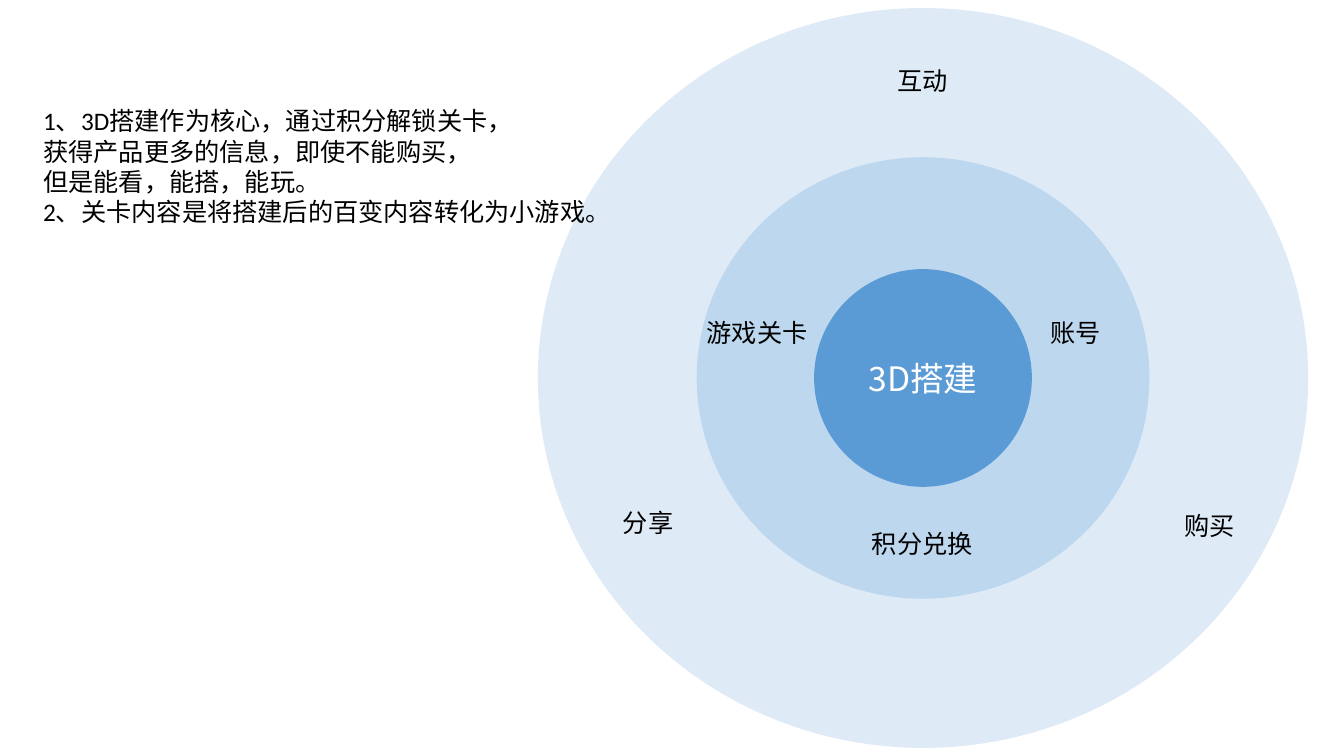
"""Build a slide of concentric rings around the 3D building core."""
from lxml.etree import SubElement
from pptx import Presentation
from pptx.dml.color import RGBColor
from pptx.enum.shapes import MSO_SHAPE
from pptx.enum.text import MSO_ANCHOR, MSO_AUTO_SIZE, PP_ALIGN
from pptx.oxml.ns import qn
from pptx.util import Inches, Pt

COLORS = {"outer": "DEEBF7", "middle": "BDD7EE", "core": "5B9BD5",
          "light": "FFFFFF", "dark": "000000"}
CJK = "Noto Sans CJK SC"
LATIN = "Calibri"
CENTER = (9.155, 3.75)
RINGS = [("outer", 7.64, 7.34), ("middle", 4.49, 4.38), ("core", 2.16, 2.16)]
CORE_TITLE = "3D搭建"
LABELS = [
    ("游戏关卡", 6.91, 3.1), ("积分兑换", 8.55, 5.19), ("账号", 10.32, 3.1),
    ("分享", 6.08, 4.98), ("购买", 11.65, 5.01), ("互动", 8.8, 0.6),
]
NOTES = [
    "1、3D搭建作为核心，通过积分解锁关卡，",
    "获得产品更多的信息，即使不能购买，",
    "但是能看，能搭，能玩。",
    "2、关卡内容是将搭建后的百变内容转化为小游戏。",
]


def rgb(key):
    return RGBColor.from_string(COLORS[key])


def write(frame, lines, size, color, latin=CJK):
    frame.text = "\n".join(lines)
    for paragraph in frame.paragraphs:
        for run in paragraph.runs:
            run.font.size = Pt(size)
            run.font.name = latin
            run.font.color.rgb = rgb(color)
            SubElement(run.font._element, qn("a:ea")).set("typeface", CJK)


def add_text(shapes, lines, left, top, width, height, latin=CJK):
    box = shapes.add_textbox(*map(Inches, (left, top, width, height)))
    box.text_frame.word_wrap = False
    box.text_frame.auto_size = MSO_AUTO_SIZE.SHAPE_TO_FIT_TEXT
    write(box.text_frame, lines, 18, "dark", latin)


prs = Presentation()
prs.slide_width, prs.slide_height = Inches(13.33), Inches(7.5)
slide = prs.slides.add_slide(prs.slide_layouts[6])
diagram = slide.shapes.add_group_shape()

for level, width, height in RINGS:
    left, top = CENTER[0] - width / 2, CENTER[1] - height / 2
    ring = diagram.shapes.add_shape(
        MSO_SHAPE.OVAL, *map(Inches, (left, top, width, height)))
    ring.shadow.inherit = False
    ring.fill.solid()
    ring.fill.fore_color.rgb = rgb(level)
    ring.line.fill.background()

core = ring.text_frame
core.vertical_anchor = MSO_ANCHOR.MIDDLE
write(core, [CORE_TITLE], 24, "light")
core.paragraphs[0].alignment = PP_ALIGN.CENTER

for label, left, top in LABELS:
    add_text(diagram.shapes, [label], left, top, 0.21 + 0.25 * len(label), 0.4)

add_text(slide.shapes, NOTES, 0.33, 1, 5.88, 1.31, LATIN)

prs.save("out.pptx")
